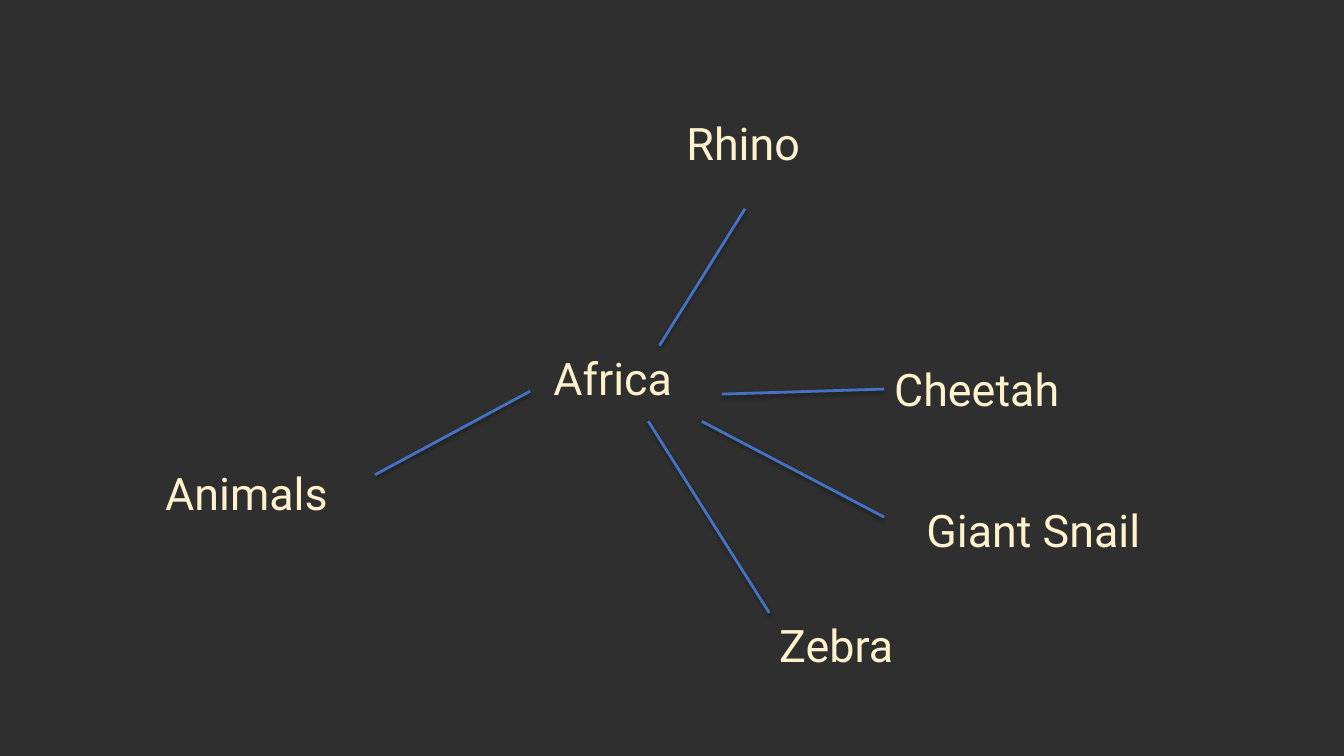
from lxml.etree import SubElement
from pptx import Presentation
from pptx.dml.color import RGBColor
from pptx.enum.shapes import MSO_CONNECTOR
from pptx.enum.text import MSO_AUTO_SIZE
from pptx.oxml.ns import qn
from pptx.util import Inches, Pt

DARK = RGBColor(0x2F, 0x2F, 0x2F)
CREAM = RGBColor(0xFF, 0xF2, 0xCC)
BLUE = RGBColor(0x44, 0x72, 0xC4)

COLS, ROWS = 13.33, 7.5
WORD_H = 0.64

WORDS = [
    ("Africa", 5.39, 3.43, 1.57),
    ("Animals", 1.54, 4.57, 2.08),
    ("Rhino", 6.71, 1.1, 1.56),
    ("Cheetah", 8.77, 3.54, 2.18),
    ("Zebra", 7.63, 6.08, 1.53),
    ("Giant Snail", 9.09, 4.94, 2.7),
]
LINKS = [
    (3.72, 4.71, 5.26, 3.88),
    (6.54, 3.43, 7.39, 2.07),
    (7.16, 3.91, 8.77, 3.86),
    (6.43, 4.18, 7.63, 6.08),
    (6.96, 4.18, 8.77, 5.13),
]


def add_text(shapes, box, text, size=32, color=CREAM, font="Roboto"):
    """Place one formatted line of text in the given box."""
    frame = shapes.add_textbox(*box).text_frame
    frame.word_wrap = True
    frame.auto_size = MSO_AUTO_SIZE.SHAPE_TO_FIT_TEXT
    run = frame.paragraphs[0].add_run()
    run.text = text
    run.font.size = Pt(size)
    run.font.name = font
    run.font.color.rgb = color


def add_shade(line):
    """Give a line a soft shadow falling straight down."""
    effects = SubElement(line._element.spPr, qn("a:effectLst"))
    shade = SubElement(effects, qn("a:outerShdw"), blurRad=str(Pt(3.1)),
                       dist=str(Pt(1.6)), dir="5400000", rotWithShape="0")
    tint = SubElement(shade, qn("a:srgbClr"), val="000000")
    SubElement(tint, qn("a:alpha"), val="38000")


def add_link(shapes, ends):
    """Draw one shaded line between two points."""
    line = shapes.add_connector(MSO_CONNECTOR.STRAIGHT, *ends)
    line.line.color.rgb = BLUE
    line.line.width = Pt(2)
    add_shade(line)


def add_map(slide, left, top, width, height):
    """Lay out the word map on a grid that fills the given box."""
    col, row = width / COLS, height / ROWS
    shapes = slide.shapes.add_group_shape().shapes

    def spot(x, y):
        """Turn a grid point into slide lengths."""
        return int(left + x * col), int(top + y * row)

    for text, x, y, wide in WORDS:
        size = int(wide * col), int(WORD_H * row)
        add_text(shapes, spot(x, y) + size, text)
    for x1, y1, x2, y2 in LINKS:
        add_link(shapes, spot(x1, y1) + spot(x2, y2))


def main():
    """Build the slide and save it."""
    deck = Presentation()
    deck.slide_width, deck.slide_height = Inches(COLS), Inches(ROWS)
    slide = deck.slides.add_slide(deck.slide_layouts[6])
    fill = slide.background.fill
    fill.solid()
    fill.fore_color.rgb = DARK
    add_map(slide, 0, 0, deck.slide_width, deck.slide_height)
    deck.save("out.pptx")


if __name__ == "__main__":
    main()
